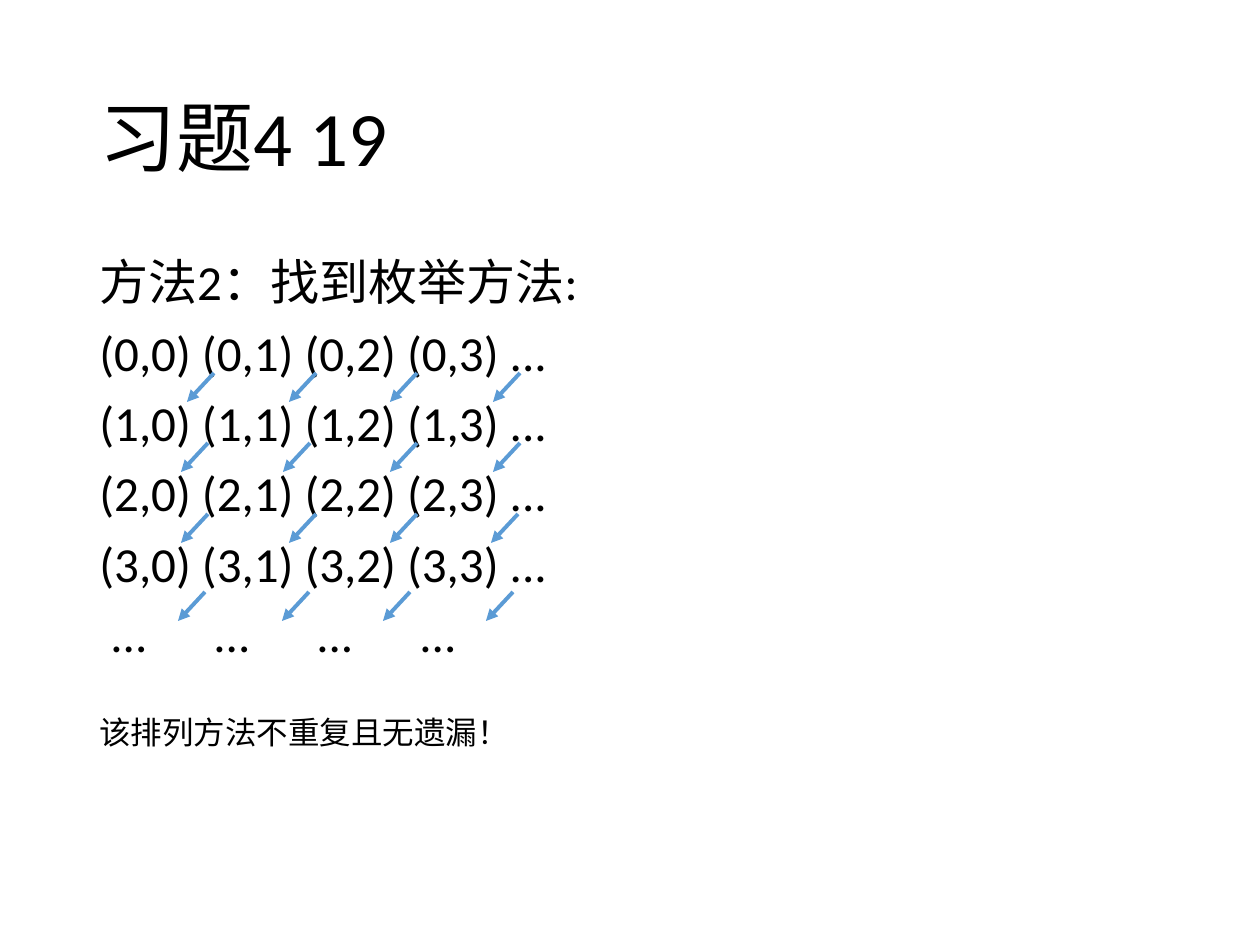
from dataclasses import dataclass

from lxml import etree
from pptx import Presentation
from pptx.dml.color import RGBColor
from pptx.enum import shapes, text
from pptx.oxml import ns
from pptx.util import Emu, Pt

PX = 914400 // 126


@dataclass(frozen=True)
class Theme:
    font: str = "Calibri"
    ink: RGBColor = RGBColor(0, 0, 0)
    arrow: RGBColor = RGBColor(0x5B, 0x9B, 0xD5)
    arrow_width: float = 2.25
    title: int = 44
    body: int = 28
    note: int = 18


@dataclass(frozen=True)
class TextBlock:
    top: int
    height: int
    size: int
    lines: list[str]
    line_spacing: float = 1.0
    space_before: int = 0
    anchor: text.MSO_ANCHOR = text.MSO_ANCHOR.TOP
    tab_stops: tuple[int, ...] = ()


@dataclass(frozen=True)
class ArrowRow:
    top: int
    starts: tuple[int, ...]


THEME = Theme()
BLOCK_LEFT, BLOCK_WIDTH = 87, 1086
ARROW_RUN, ARROW_DROP = 27, 29
COLUMN_STEP = 103


def px(length: int) -> Emu:
    return Emu(length * PX)


def add_text(slide, block: TextBlock) -> None:
    box = slide.shapes.add_textbox(
        px(BLOCK_LEFT), px(block.top), px(BLOCK_WIDTH), px(block.height))
    frame = box.text_frame
    frame.word_wrap = True
    frame.vertical_anchor = block.anchor
    for index, line in enumerate(block.lines):
        paragraph = frame.add_paragraph() if index else frame.paragraphs[0]
        paragraph.line_spacing = block.line_spacing
        paragraph.space_before = Pt(block.space_before)
        run = paragraph.add_run()
        run.text = line
        run.font.name = THEME.font
        run.font.size = Pt(block.size)
        run.font.color.rgb = THEME.ink
        if "\t" in line:
            tabs = etree.SubElement(paragraph._p.get_or_add_pPr(), ns.qn("a:tabLst"))
            for stop in block.tab_stops:
                etree.SubElement(tabs, ns.qn("a:tab"), pos=str(px(stop)), algn="l")


def add_arrow(slide, left: int, top: int) -> None:
    arrow = slide.shapes.add_connector(
        shapes.MSO_CONNECTOR.STRAIGHT,
        px(left), px(top), px(left - ARROW_RUN), px(top + ARROW_DROP))
    arrow.line.color.rgb = THEME.arrow
    arrow.line.width = Pt(THEME.arrow_width)
    etree.SubElement(arrow.line._get_or_add_ln(), ns.qn("a:tailEnd"), type="triangle")
    etree.SubElement(arrow._element.spPr, ns.qn("a:effectLst"))


# Pairs of the enumeration grid, closed by a row of dots
pair_rows = [" ".join([*(f"({i},{j})" for j in range(4)), "..."]) for i in range(4)]
dots_row = " " + "\t".join(["..."] * 4)

blocks = [
    TextBlock(50, 183, THEME.title, ["习题4 19"], 0.9,
              anchor=text.MSO_ANCHOR.MIDDLE),
    TextBlock(252, 426, THEME.body, ["方法2：找到枚举方法:", *pair_rows, dots_row],
              0.9, 10, tab_stops=tuple(11 + COLUMN_STEP * n for n in (1, 2, 3))),
    TextBlock(707, 50, THEME.note, ["该排列方法不重复且无遗漏！"]),
]

# Diagonal steps between neighbouring rows
arrow_rows = [
    ArrowRow(373, (214, 316, 417, 520)),
    ArrowRow(443, (208, 310, 417, 520)),
    ArrowRow(514, (208, 316, 417, 518)),
    ArrowRow(592, (205, 309, 410, 513)),
]

deck = Presentation()
deck.slide_width, deck.slide_height = px(1260), px(945)
slide = deck.slides.add_slide(deck.slide_layouts[6])

for block in blocks:
    add_text(slide, block)
for row in arrow_rows:
    for start in row.starts:
        add_arrow(slide, start, row.top)

deck.save("out.pptx")
